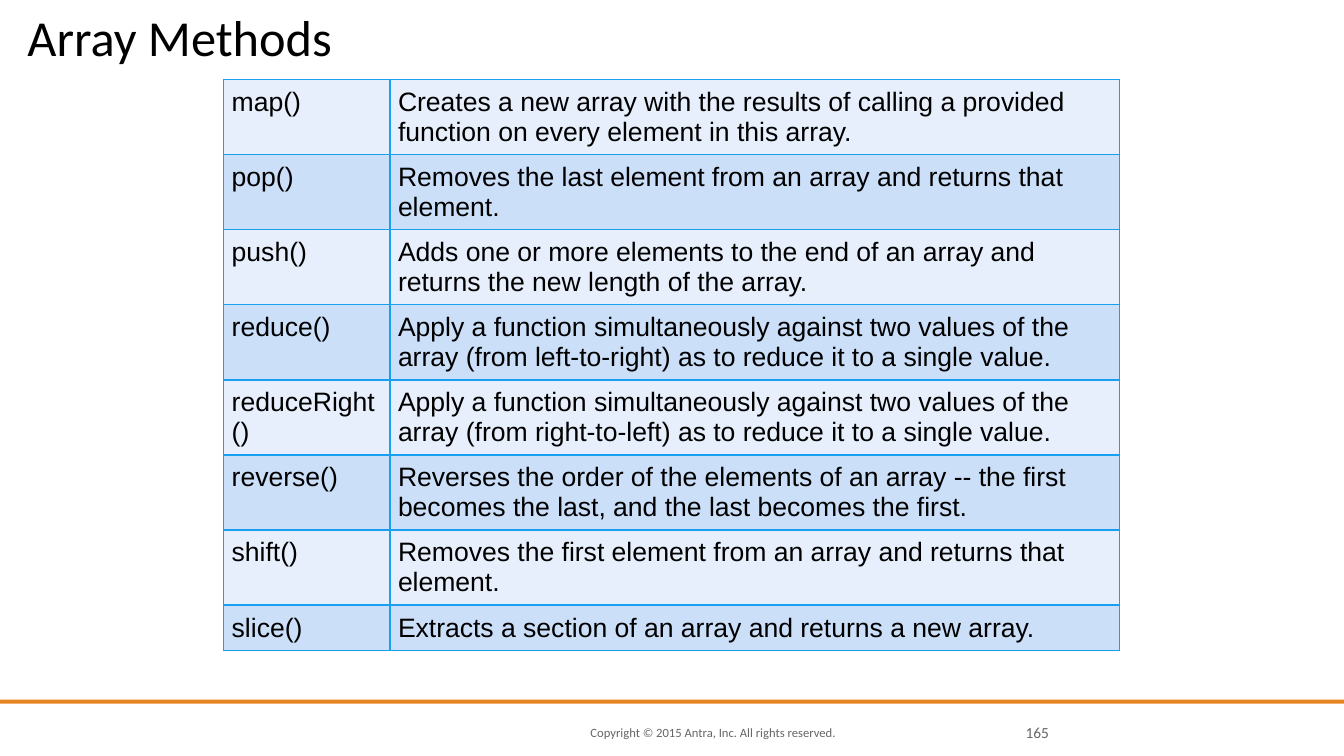
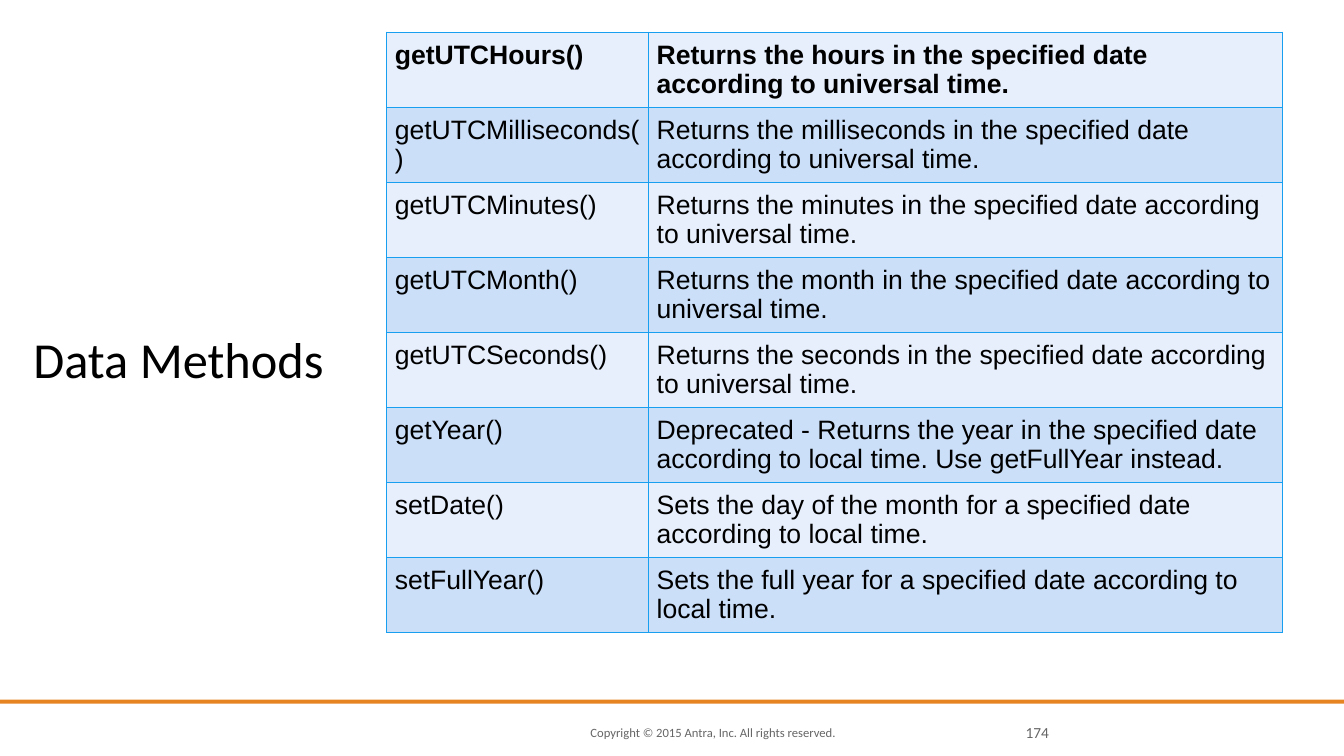
from lxml.etree import SubElement
from pptx import Presentation
from pptx.dml.color import RGBColor
from pptx.enum.shapes import MSO_SHAPE
from pptx.enum.text import MSO_ANCHOR, MSO_AUTO_SIZE, PP_ALIGN
from pptx.oxml.ns import qn
from pptx.util import Cm, Pt

# Content: positions and widths in centimetres
SLIDES = [
    {
        "title": "Array Methods", "title_at": (0.69, 0.05), "number": "165",
        "table_at": (5.64, 2.01), "columns": (4.19, 18.39), "bold_first": False,
        "rows": [
            ("map()", "Creates a new array with the results of calling a provided function on every element in this array."),
            ("pop()", "Removes the last element from an array and returns that element."),
            ("push()", "Adds one or more elements to the end of an array and returns the new length of the array."),
            ("reduce()", "Apply a function simultaneously against two values of the array (from left-to-right) as to reduce it to a single value."),
            ("reduceRight()", "Apply a function simultaneously against two values of the array (from right-to-left) as to reduce it to a single value."),
            ("reverse()", "Reverses the order of the elements of an array -- the first becomes the last, and the last becomes the first."),
            ("shift()", "Removes the first element from an array and returns that element."),
            ("slice()", "Extracts a section of an array and returns a new array."),
        ],
    },
    {
        "title": "Data Methods", "title_at": (0.84, 8.15), "number": "174",
        "table_at": (9.75, 0.81), "columns": (6.6, 15.98), "bold_first": True,
        "rows": [
            ("getUTCHours()", "Returns the hours in the specified date according to universal time."),
            ("getUTCMilliseconds()", "Returns the milliseconds in the specified date according to universal time."),
            ("getUTCMinutes()", "Returns the minutes in the specified date according to universal time."),
            ("getUTCMonth()", "Returns the month in the specified date according to universal time."),
            ("getUTCSeconds()", "Returns the seconds in the specified date according to universal time."),
            ("getYear()", "Deprecated - Returns the year in the specified date according to local time. Use getFullYear instead."),
            ("setDate()", "Sets the day of the month for a specified date according to local time."),
            ("setFullYear()", "Sets the full year for a specified date according to local time."),
        ],
    },
]
COPYRIGHT = "Copyright © 2015 Antra, Inc. All rights reserved."

# Shared style
BLACK, GREY, ORANGE, BORDER = "000000", "666666", "E68422", "189FEF"
ROW_FILLS = ("E7EFFC", "CBDFF9")
ROW_HEIGHT = 1.04
CELL_MARGIN = Cm(0.2)


def color(value):
    return RGBColor.from_string(value)


def write(frame, text, size, font="Calibri", ink=BLACK, bold=False,
          align=PP_ALIGN.LEFT, spacing=None):
    para = frame.paragraphs[0]
    para.alignment = align
    para.line_spacing = spacing
    span = para.add_run()
    span.text = text
    span.font.size, span.font.name, span.font.bold = Pt(size), font, bold
    span.font.color.rgb = color(ink)


def clear_margins(frame, anchor):
    frame.margin_left = frame.margin_right = 0
    frame.margin_top = frame.margin_bottom = 0
    frame.vertical_anchor = anchor
    frame.auto_size = MSO_AUTO_SIZE.NONE
    frame.word_wrap = True


def add_title(page, text, left, top):
    title = page.shapes.title
    title.left, title.top = Cm(left), Cm(top)
    title.width, title.height = Cm(30.91), Cm(1.63)
    clear_margins(title.text_frame, MSO_ANCHOR.BOTTOM)
    write(title.text_frame, text, 36, spacing=0.8)


def add_footer(page, number):
    band = page.shapes.add_shape(MSO_SHAPE.RECTANGLE, 0, Cm(17.63), Cm(33.87), Cm(0.1))
    band.shadow.inherit = False
    band.fill.solid()
    band.fill.fore_color.rgb = color(ORANGE)
    band.line.fill.background()
    for text, left, width, size, align in (
            (COPYRIGHT, 14.88, 7.75, 9, PP_ALIGN.LEFT),
            (number, 25.37, 1.07, 11, PP_ALIGN.RIGHT)):
        box = page.shapes.add_textbox(Cm(left), Cm(18.21), Cm(width), Cm(0.51))
        clear_margins(box.text_frame, MSO_ANCHOR.MIDDLE)
        write(box.text_frame, text, size, ink=GREY, align=align)


def format_cell(cell, fill):
    cell.margin_left = cell.margin_right = CELL_MARGIN
    cell.margin_top = cell.margin_bottom = CELL_MARGIN
    # Borders must come before the fill in the cell properties
    properties = cell._tc.get_or_add_tcPr()
    for side in ("a:lnL", "a:lnR", "a:lnT", "a:lnB"):
        line = SubElement(properties, qn(side), w=str(Pt(1)))
        SubElement(SubElement(line, qn("a:solidFill")), qn("a:srgbClr"), val=BORDER)
    cell.fill.solid()
    cell.fill.fore_color.rgb = color(fill)


def add_methods_table(page, rows, at, columns, bold_first):
    left, top = at
    table = page.shapes.add_table(
        len(rows), len(columns), Cm(left), Cm(top),
        Cm(sum(columns)), Cm(ROW_HEIGHT * len(rows))).table
    table.first_row = table.horz_banding = False
    for column, width in zip(table.columns, columns):
        column.width = Cm(width)
    for row_index, texts in enumerate(rows):
        for text, cell, align in zip(texts, table.rows[row_index].cells,
                                     (PP_ALIGN.JUSTIFY, PP_ALIGN.LEFT)):
            format_cell(cell, ROW_FILLS[row_index % 2])
            write(cell.text_frame, text, 19, font="Arial", align=align,
                  bold=bold_first and row_index == 0)


def main():
    deck = Presentation()
    deck.slide_width, deck.slide_height = Cm(33.87), Cm(19.05)
    title_only = deck.slide_layouts[5]
    for content in SLIDES:
        page = deck.slides.add_slide(title_only)
        add_footer(page, content["number"])
        add_title(page, content["title"], *content["title_at"])
        add_methods_table(page, content["rows"], content["table_at"],
                          content["columns"], content["bold_first"])
    deck.save("out.pptx")


if __name__ == "__main__":
    main()
